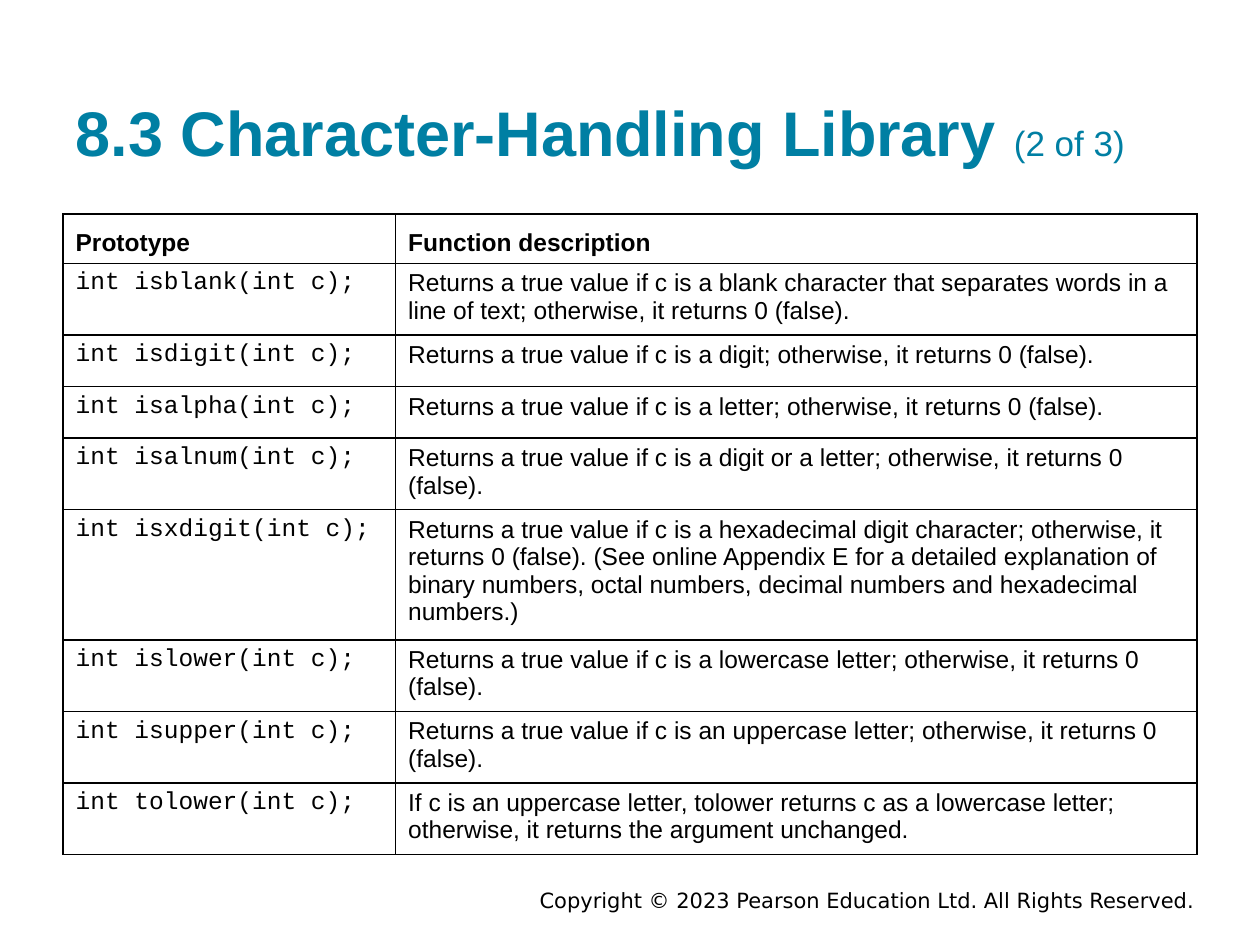
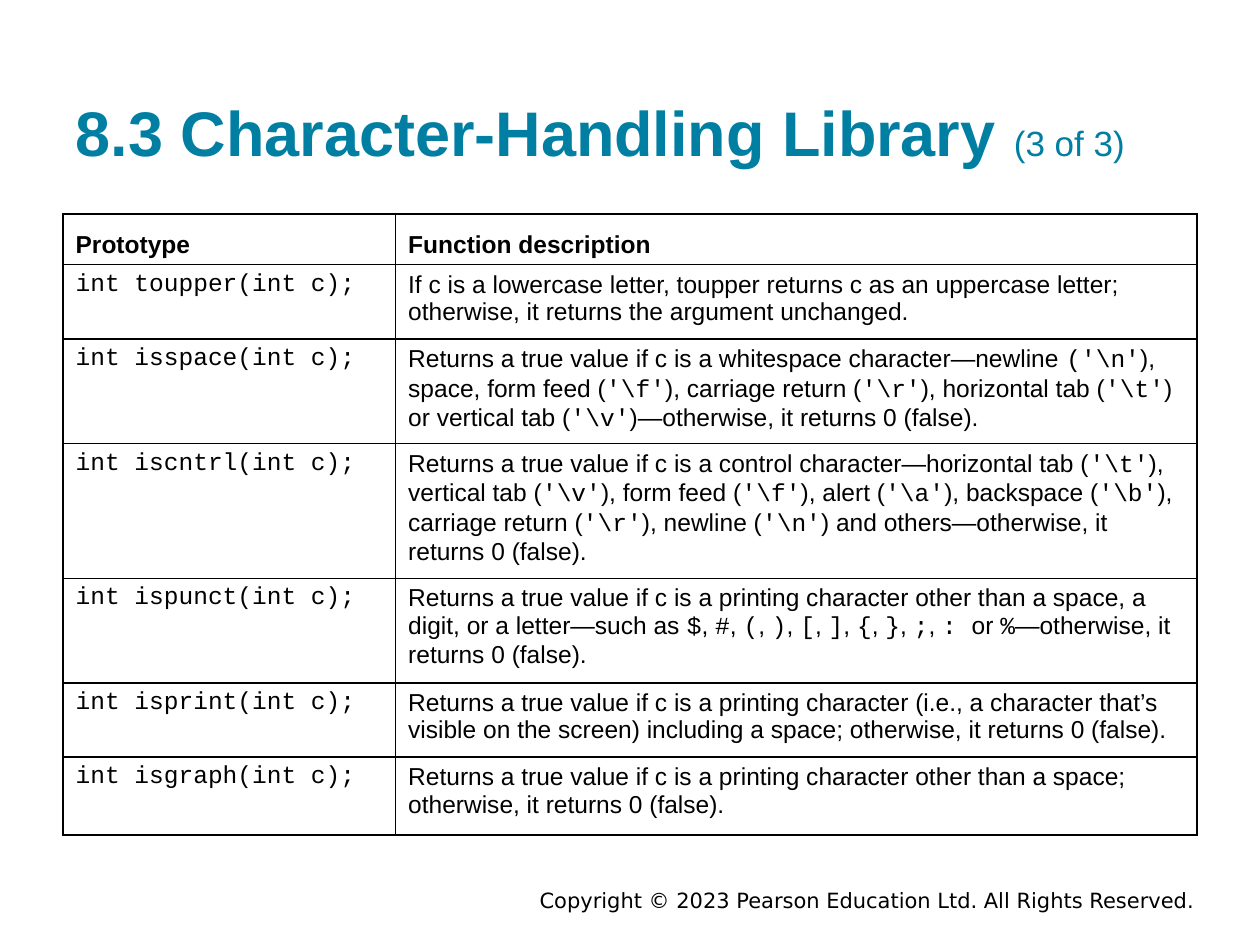
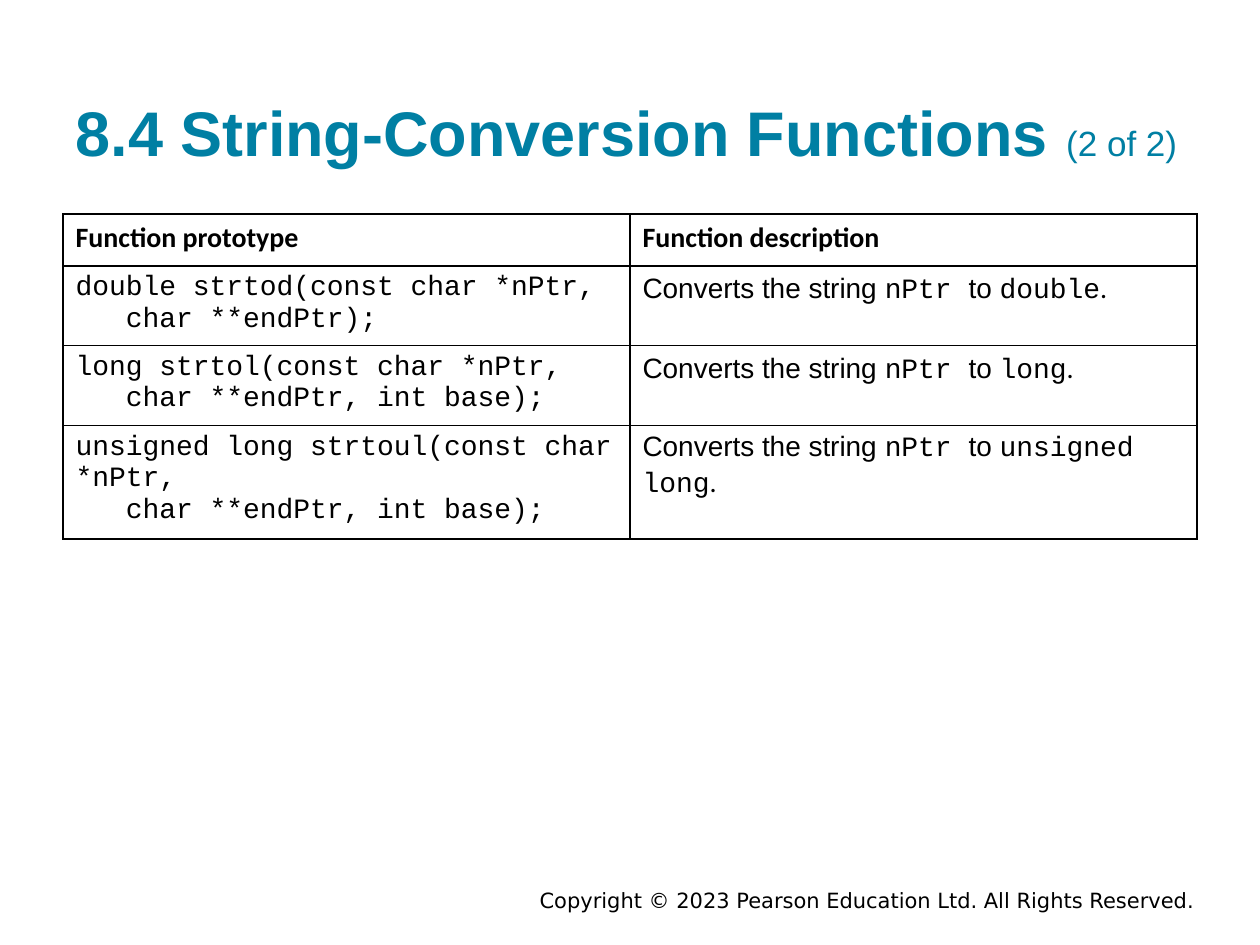
from lxml.etree import SubElement
from pptx import Presentation
from pptx.dml.color import RGBColor
from pptx.enum.text import MSO_ANCHOR, MSO_AUTO_SIZE, PP_ALIGN
from pptx.oxml.ns import qn
from pptx.util import Inches, Pt

TEAL, BLACK, WHITE = "007FA3", "000000", "FFFFFF"
SANS, MONO, CALIBRI, FOOTER_FONT = "Arial", "Courier New", "Calibri", "DejaVu Sans"
NBSP = " "
FOOTER = "Copyright © 2023 Pearson Education Ltd. All Rights Reserved."


def add_run(p, text, font, size, color=BLACK, bold=False):
    r = p.add_run()
    r.text = text
    r.font.name = font
    r.font.size = Pt(size)
    r.font.bold = bold
    r.font.color.rgb = RGBColor.from_string(color)


def spans(text):
    """Split text into (text, font) pairs; backticks enclose code."""
    parts = enumerate(text.split("`"))
    return [(part, MONO if i % 2 else SANS) for i, part in parts if part]


blank_to_lower = [
    ("int isblank(int c);", "Returns a true value if c is a blank character that separates "
     "words in a line of text; otherwise, it returns 0 (false)."),
    ("int isdigit(int c);", "Returns a true value if c is a digit; otherwise, it returns 0 (false)."),
    ("int isalpha(int c);", "Returns a true value if c is a letter; otherwise, it returns 0 (false)."),
    ("int isalnum(int c);", "Returns a true value if c is a digit or a letter; "
     "otherwise, it returns 0 (false)."),
    ("int isxdigit(int c);", "Returns a true value if c is a hexadecimal digit character; "
     "otherwise, it returns 0 (false). (See online Appendix E for a detailed explanation of "
     "binary numbers, octal numbers, decimal numbers and hexadecimal numbers.)"),
    ("int islower(int c);", "Returns a true value if c is a lowercase letter; "
     "otherwise, it returns 0 (false)."),
    ("int isupper(int c);", "Returns a true value if c is an uppercase letter; "
     "otherwise, it returns 0 (false)."),
    ("int tolower(int c);", "If c is an uppercase letter, tolower returns c as a lowercase "
     "letter; otherwise, it returns the argument unchanged."),
]
upper_to_graph = [
    ("int toupper(int c);", "If c is a lowercase letter, toupper returns c as an uppercase "
     "letter; otherwise, it returns the argument unchanged."),
    ("int isspace(int c);", r"Returns a true value if c is a whitespace character—newline "
     r"`('\n'`), space, form feed (`'\f'`), carriage return (`'\r'`), horizontal tab (`'\t'`) "
     r"or vertical tab (`'\v'`)—otherwise, it returns 0 (false)."),
    ("int iscntrl(int c);", r"Returns a true value if c is a control character—horizontal tab "
     r"(`'\t'`), vertical tab (`'\v'`), form feed (`'\f'`), alert (`'\a'`), backspace (`'\b'`), "
     r"carriage return (`'\r'`), newline (`'\n'`) and others—otherwise, it returns 0 (false)."),
    ("int ispunct(int c);", "Returns a true value if c is a printing character other than a "
     "space, a digit, or a letter—such as `$`, `#`, `(`, `)`, `[`, `]`, `{`, `}`, `;`, `: `or "
     "`%`—otherwise, it returns 0 (false)."),
    ("int isprint(int c);", "Returns a true value if c is a printing character (i.e., a character "
     "that’s visible on the screen) including a space; otherwise, it returns 0 (false)."),
    ("int isgraph(int c);", "Returns a true value if c is a printing character other than a "
     "space; otherwise, it returns 0 (false)."),
]
conversions = [
    ("double strtod(const char *nPtr, \n   char **endPtr);", "double"),
    ("long strtol(const char *nPtr, \n   char **endPtr, int base);", "long"),
    ("unsigned long strtoul(const char *nPtr, \n   char **endPtr, int base);", "unsigned long"),
]
conversion_rows = [
    (prototype, spans(f"Converts the string `nPtr `to `{kind}`") + [(".", CALIBRI)])
    for prototype, kind in conversions
]

slides = [
    dict(title="8.3 Character-Handling Library ", part="(2 of 3)", head="Prototype",
         head_font=SANS, head_anchor=MSO_ANCHOR.BOTTOM, size=14,
         cols=[2.64, 6.36], heights=[0.39] + [0.41] * 8,
         rows=[(prototype, spans(text)) for prototype, text in blank_to_lower]),
    dict(title="8.3 Character-Handling Library ", part="(3 of 3)", head="Prototype",
         head_font=SANS, head_anchor=MSO_ANCHOR.BOTTOM, size=14,
         cols=[2.64, 6.36], heights=[0.4, 0.59, 0.83, 1.07, 0.83, 0.59, 0.62],
         rows=[(prototype, spans(text)) for prototype, text in upper_to_graph]),
    dict(title="8.4 String-Conversion Functions ", part="(2 of 2)", head="Function prototype",
         head_font=CALIBRI, head_anchor=MSO_ANCHOR.TOP, size=16,
         cols=[4.5, 4.5], heights=[0.41] * 4, rows=conversion_rows),
]

prs = Presentation()
prs.slide_width, prs.slide_height = Inches(10), Inches(7.5)

for content in slides:
    s = prs.slides.add_slide(prs.slide_layouts[5])

    # Footer
    sp = s.shapes.add_textbox(Inches(1.75), Inches(7.03), Inches(7.83), Inches(0.22))
    tf = sp.text_frame
    tf.word_wrap = True
    tf.vertical_anchor = MSO_ANCHOR.MIDDLE
    p = tf.paragraphs[0]
    p.alignment = PP_ALIGN.RIGHT
    add_run(p, FOOTER, FOOTER_FONT, 12)

    # Title
    sp = s.shapes.title
    sp.left, sp.top, sp.width, sp.height = Inches(0.5), Inches(0.24), Inches(9), Inches(1.2)
    tf = sp.text_frame
    tf.auto_size = MSO_AUTO_SIZE.NONE
    tf.vertical_anchor = MSO_ANCHOR.BOTTOM
    tf.margin_left = tf.margin_right = tf.margin_top = tf.margin_bottom = Inches(0.1)
    p = tf.paragraphs[0]
    p.alignment = PP_ALIGN.LEFT
    add_run(p, content["title"], SANS, 36, TEAL, bold=True)
    add_run(p, content["part"], SANS, 20, TEAL)

    # Table
    heights = content["heights"]
    table = s.shapes.add_table(len(heights), 2, Inches(0.5), Inches(1.7),
                               Inches(9), Inches(sum(heights))).table
    table.first_row = table.horz_banding = False
    for column, width in zip(table.columns, content["cols"]):
        column.width = Inches(width)
    for row, height in zip(table.rows, heights):
        row.height = Inches(height)

    header = [[(text, content["head_font"])] for text in (content["head"], "Function description")]
    body = [[[(prototype + NBSP, MONO)], text] for prototype, text in content["rows"]]
    for i, row in enumerate([header] + body):
        for j, cell_spans in enumerate(row):
            cell = table.cell(i, j)
            cell.vertical_anchor = content["head_anchor"] if i == 0 else MSO_ANCHOR.TOP
            for side in ("a:lnL", "a:lnR", "a:lnT", "a:lnB"):
                ln = SubElement(cell._tc.get_or_add_tcPr(), qn(side), w=str(Pt(1)))
                SubElement(SubElement(ln, qn("a:solidFill")), qn("a:srgbClr"), val=BLACK)
            cell.fill.solid()
            cell.fill.fore_color.rgb = RGBColor.from_string(WHITE)
            p = cell.text_frame.paragraphs[0]
            for text, font in cell_spans:
                for k, line in enumerate(text.split("\n")):
                    if k:
                        p.add_line_break()
                    add_run(p, line, font, content["size"], bold=i == 0)

prs.save("out.pptx")
